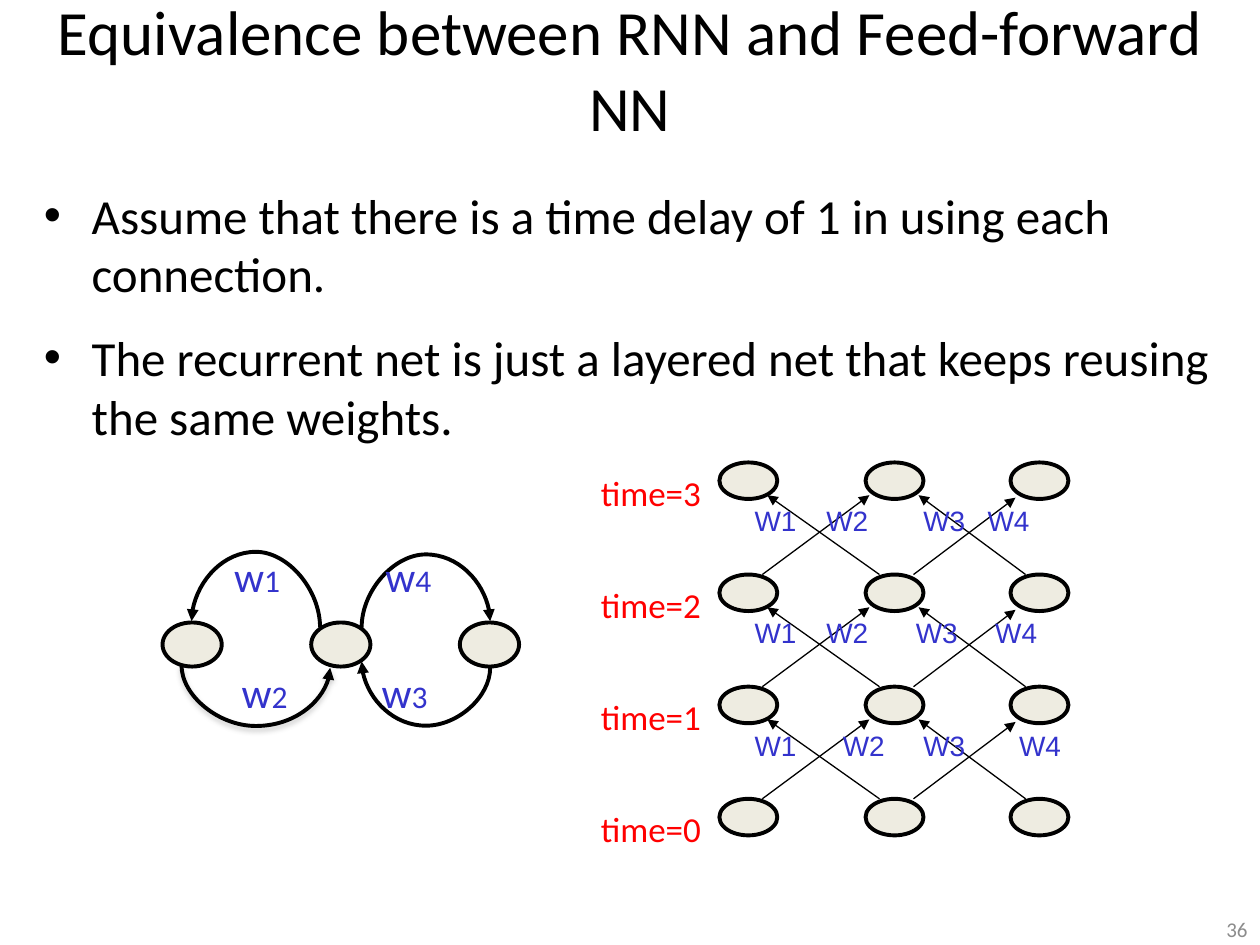
"""Build a slide that unrolls a recurrent network into a layered one."""
from dataclasses import dataclass
from typing import Any, NamedTuple

from lxml import etree
from pptx import Presentation
from pptx.dml.color import RGBColor
from pptx.enum import shapes, text
from pptx.oxml import ns
from pptx.util import Inches, Pt


@dataclass(frozen=True)
class Theme:
    ink: str = "000000"
    node: str = "EEECE1"
    weight: str = "3333CC"
    time: str = "FF0000"
    number: str = "8C8C8C"
    shade: str = "808080"
    font: str = "Calibri"
    weight_font: str = "Arial"
    title_size: int = 36
    body_size: int = 28
    letter_size: int = 24
    time_size: int = 20
    index_size: int = 18
    weight_size: int = 16
    number_size: int = 12
    thick: float = 2.25
    thin: float = 0.75


class Frame(NamedTuple):
    left: float
    top: float
    width: float
    height: float


class Span(NamedTuple):
    words: str
    size: int
    color: str
    font: str = "Calibri"


class Link(NamedTuple):
    x1: float
    y1: float
    x2: float
    y2: float


class Loop(NamedTuple):
    link: Link
    bend: float
    shaded: bool = False


class LoopLabels(NamedTuple):
    frame: Frame
    indices: tuple[str, str]
    stop: float


THEME = Theme()
TITLE = "Equivalence between RNN and Feed-forward NN"
BULLETS = (
    "Assume that there is a time delay of 1 in using each connection.",
    "The recurrent net is just a layered net that keeps reusing the same weights.",
)
LAYERS, LAYER_GAP, BASE_TOP = 4, 0.89, 6.34
LAYER_COLUMNS = (5.71, 6.87, 8.02)
LAYER_LINKS = (
    Link(6.05, 0, 6.9, -0.63),
    Link(8.14, 0, 7.29, -0.63),
    Link(6.98, 0, 6.09, -0.63),
    Link(7.25, 0, 8.06, -0.61),
)
WEIGHT_STOPS = ((0.7, 1.34, 2.1), (0.57, 1.28, 1.91), (0.57, 1.34, 1.85))
LOOP_COLUMNS = (1.29, 2.47, 3.65)
LOOPS = (
    Loop(Link(3.89, 5.3, 2.87, 5.25), 5.76),
    Loop(Link(2.54, 4.98, 1.52, 4.93), 4.38),
    Loop(Link(2.87, 4.98, 3.89, 4.93), 4.4),
    Loop(Link(1.44, 5.28, 2.62, 5.3), 5.76, True),
)
LOOP_LABELS = (
    LoopLabels(Frame(1.76, 4.32, 2.17, 0.51), ("1", "4"), 1.2),
    LoopLabels(Frame(1.82, 5.24, 2.17, 0.51), ("2", "3"), 1.11),
)


def apply(target: Any, values: dict[str, Any]) -> None:
    """Set every attribute in the dict on the target."""
    for name, value in values.items():
        setattr(target, name, value)


def place(frame: Frame) -> dict[str, int]:
    """Turn a frame into position and size attributes."""
    return {name: Inches(value) for name, value in frame._asdict().items()}


def child(parent: Any, tag: str, **attributes: Any) -> Any:
    """Append an XML element with the given attributes."""
    values = {name: str(value) for name, value in attributes.items()}
    return etree.SubElement(parent, ns.qn(tag), values)


def write(para: Any, *spans: Span) -> None:
    """Add formatted spans to a paragraph."""
    for span in spans:
        run = para.add_run()
        run.text = span.words
        apply(run.font, {"name": span.font, "size": Pt(span.size)})
        run.font.color.rgb = RGBColor.from_string(span.color)


def add_text(page: Any, frame: Frame, *spans: Span) -> Any:
    """Add a wrapping text box and return its text frame."""
    box = page.shapes.add_textbox(*map(Inches, frame))
    box.text_frame.word_wrap = True
    write(box.text_frame.paragraphs[0], *spans)
    return box.text_frame


def set_tabs(para: Any, *stops: float) -> None:
    """Give a paragraph left tab stops."""
    tabs = child(para._p.get_or_add_pPr(), "a:tabLst")
    for stop in stops:
        child(tabs, "a:tab", pos=Inches(stop), algn="l")


def add_node(page: Any, frame: Frame) -> None:
    """Draw one network unit."""
    node = page.shapes.add_shape(shapes.MSO_SHAPE.OVAL, *map(Inches, frame))
    node.shadow.inherit = False
    node.fill.solid()
    node.fill.fore_color.rgb = RGBColor.from_string(THEME.node)
    node.line.color.rgb = RGBColor.from_string(THEME.ink)
    node.line.width = Pt(THEME.thick)


def add_arrow(page: Any, kind: Any, link: Link, width: float) -> tuple[Any, Any]:
    """Draw an arrow and return it with its effect list."""
    arrow = page.shapes.add_connector(kind, *map(Inches, link))
    arrow.line.color.rgb = RGBColor.from_string(THEME.ink)
    arrow.line.width = Pt(width)
    child(arrow.line._get_or_add_ln(), "a:tailEnd", type="triangle")
    return arrow, child(arrow._element.spPr, "a:effectLst")


def add_loop(page: Any, loop: Loop) -> None:
    """Draw a curved arrow that leaves and arrives vertically."""
    link = loop.link
    arrow, effects = add_arrow(page, shapes.MSO_CONNECTOR.CURVE, link, THEME.thick)
    dx, dy = link.x2 - link.x1, link.y2 - link.y1
    width, height = abs(dy), abs(dx)
    left, top = (link.x1 + link.x2 - width) / 2, (link.y1 + link.y2 - height) / 2
    apply(arrow, place(Frame(left, top, width, height)))
    turn = {"rot": 270 * 60000, "flipH": int(dy > 0), "flipV": int(dx < 0)}
    for name, value in turn.items():
        arrow._element.spPr.xfrm.set(name, str(value))
    ratio = round((loop.bend - link.y1) / dy * 100000)
    guides = arrow._element.spPr.find(ns.qn("a:prstGeom")).find(ns.qn("a:avLst"))
    child(guides, "a:gd", name="adj1", fmla=f"val {ratio}")
    if loop.shaded:
        shadow = child(effects, "a:outerShdw", blurRad=Pt(3.1), dist=Pt(1.6),
                       dir=90 * 60000, rotWithShape=0)
        child(child(shadow, "a:srgbClr", val=THEME.shade), "a:alpha", val=38000)


def add_heading(page: Any) -> None:
    """Fill the title placeholder."""
    title = page.shapes.title
    apply(title, place(Frame(0, 0, 10, 1.08)))
    apply(title.text_frame, {"auto_size": text.MSO_AUTO_SIZE.NONE, "word_wrap": True,
                             "vertical_anchor": text.MSO_ANCHOR.MIDDLE})
    para = title.text_frame.paragraphs[0]
    para.alignment = text.PP_ALIGN.CENTER
    write(para, Span(TITLE, THEME.title_size, THEME.ink))


def add_bullets(page: Any) -> None:
    """Write the bulleted statements."""
    body = add_text(page, Frame(0.25, 1.42, 9.5, 5.75))
    for index, words in enumerate(BULLETS):
        para = body.add_paragraph() if index else body.paragraphs[0]
        para.space_before = Pt(THEME.body_size / 2)
        apply_indent = {"marL": Inches(0.38), "indent": -Inches(0.38)}
        for name, value in apply_indent.items():
            para._p.get_or_add_pPr().set(name, str(value))
        child(para._p.pPr, "a:buFont", typeface="Arial")
        child(para._p.pPr, "a:buChar", char="•")
        write(para, Span(words, THEME.body_size, THEME.ink))


def add_layers(page: Any) -> None:
    """Draw the unrolled network, one layer per time step."""
    for step in range(LAYERS):
        top = BASE_TOP - step * LAYER_GAP
        for left in LAYER_COLUMNS:
            add_node(page, Frame(left, top, 0.46, 0.29))
        add_text(page, Frame(4.67, top + 0.02, 1.04, 0.47),
                 Span(f"time={step}", THEME.time_size, THEME.time))
    for step, stops in enumerate(WEIGHT_STOPS):
        top = BASE_TOP - step * LAYER_GAP
        for link in LAYER_LINKS:
            moved = link._replace(y1=top, y2=top + link.y2)
            add_arrow(page, shapes.MSO_CONNECTOR.STRAIGHT, moved, THEME.thin)
        label = add_text(page, Frame(5.89, top - 0.61, 2.82, 0.4),
                         Span("W1\tW2\tW3\tW4", THEME.weight_size, THEME.weight,
                              THEME.weight_font))
        set_tabs(label.paragraphs[0], *stops)


def add_recurrent(page: Any) -> None:
    """Draw the recurrent network with its looping weights."""
    for left in LOOP_COLUMNS:
        add_node(page, Frame(left, 4.94, 0.47, 0.35))
    for loop in LOOPS:
        add_loop(page, loop)
    for frame, (first, second), stop in LOOP_LABELS:
        parts = (("w", THEME.letter_size), (first, THEME.index_size),
                 ("\tw", THEME.letter_size), (second, THEME.index_size))
        label = add_text(page, frame, *(Span(*part, THEME.weight) for part in parts))
        set_tabs(label.paragraphs[0], stop)


def main() -> None:
    """Assemble and save the deck."""
    deck = Presentation()
    apply(deck, {"slide_width": Inches(10), "slide_height": Inches(7.5)})
    page = deck.slides.add_slide(deck.slide_layouts[5])
    add_heading(page)
    add_bullets(page)
    number = add_text(page, Frame(7.67, 7.25, 2.33, 0.25),
                      Span("36", THEME.number_size, THEME.number))
    number.vertical_anchor = text.MSO_ANCHOR.MIDDLE
    number.paragraphs[0].alignment = text.PP_ALIGN.RIGHT
    add_layers(page)
    add_recurrent(page)
    deck.save("out.pptx")


if __name__ == "__main__":
    main()
